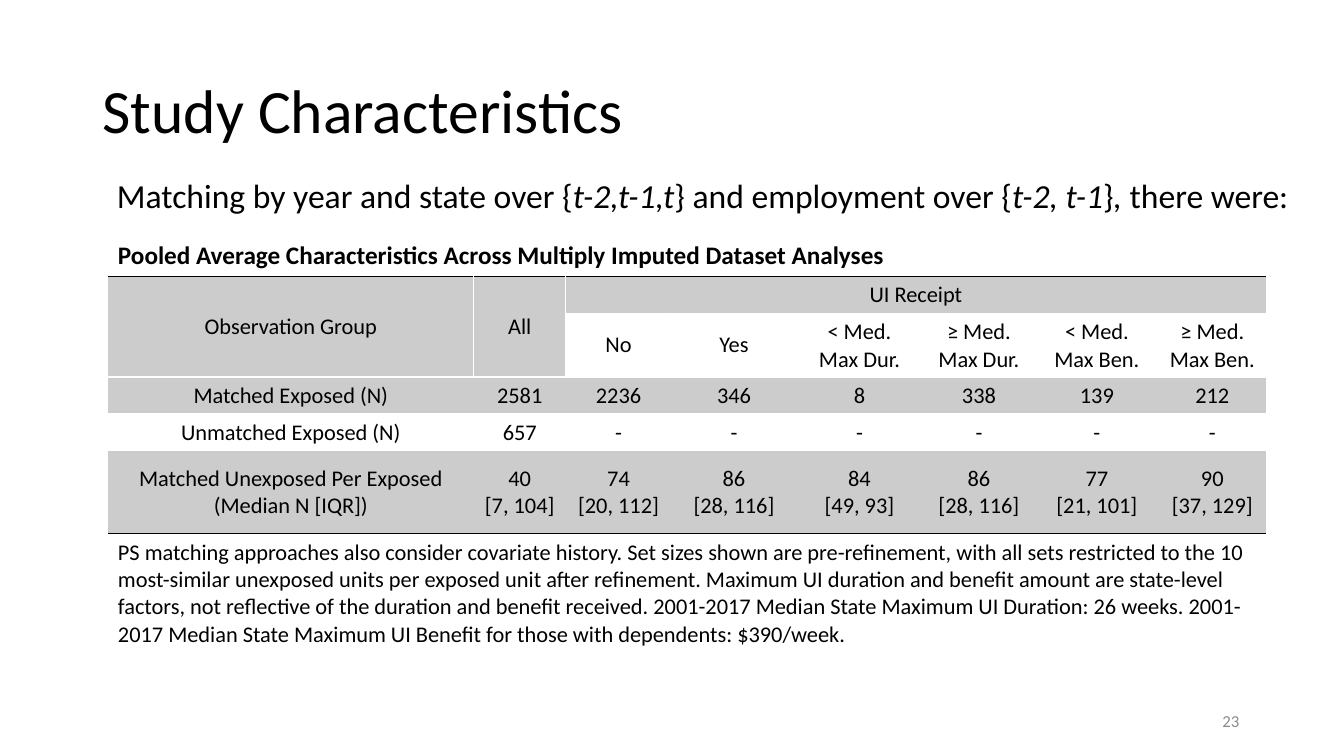
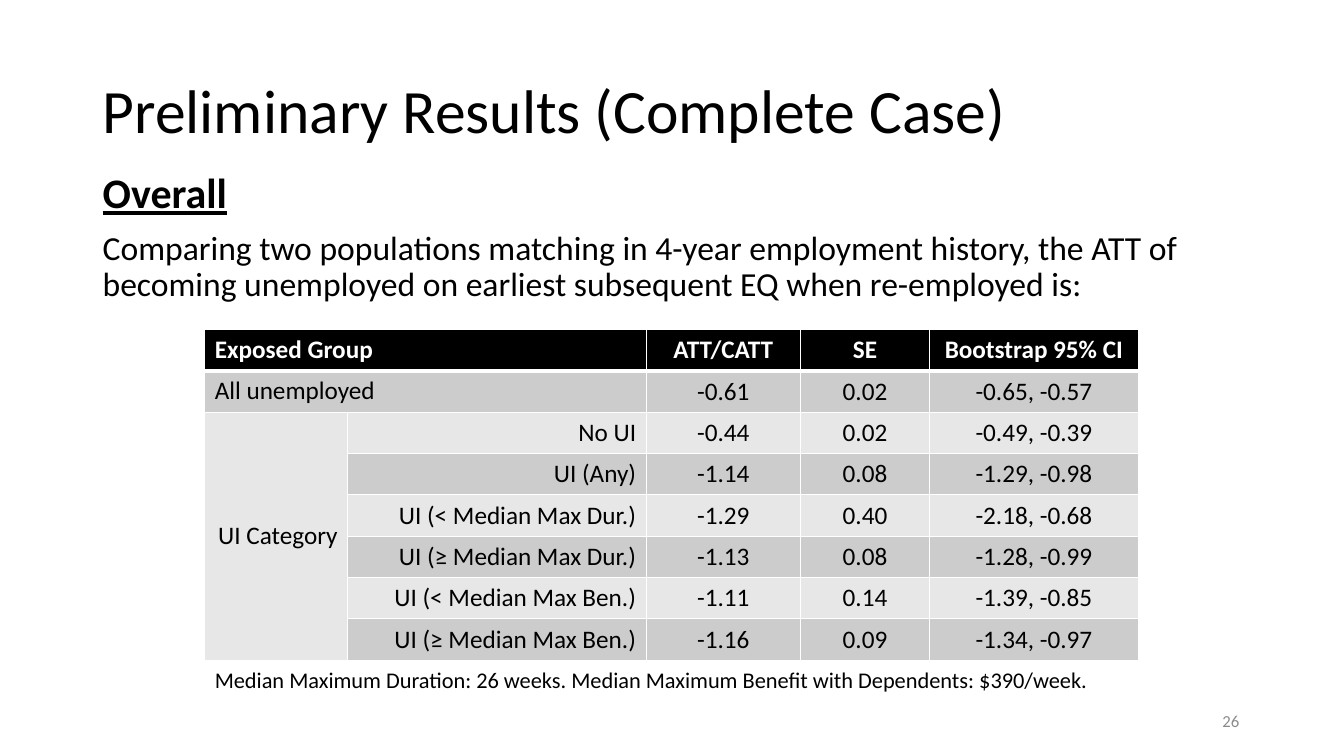
from lxml import etree
from pptx import Presentation
from pptx import util as u
from pptx.dml import color
from pptx.enum import text
from pptx.oxml import ns

COLORS = {"ink": "000000", "paper": "FFFFFF", "band": "CCCCCC",
          "light": "E7E7E7", "number": "8C8C8C"}
ALIGN = {"l": text.PP_ALIGN.LEFT, "c": text.PP_ALIGN.CENTER, "r": text.PP_ALIGN.RIGHT}
ANCHOR = {"top": text.MSO_ANCHOR.TOP, "middle": text.MSO_ANCHOR.MIDDLE}
PLAIN_TABLE = "{2D5ABB26-0587-4C30-8999-92F81FD0307C}"
SIDES = ("L", "R", "T", "B")


def rgb(name):
    return color.RGBColor.from_string(COLORS[name])


class Deck:
    """Holds the shared style and the slide being filled."""
    font = "Calibri"
    left, width = 0.92, 11.5

    def __init__(self):
        self.prs = Presentation()
        self.prs.slide_width = u.Inches(13.33)
        self.prs.slide_height = u.Inches(7.5)
        self.s = None

    def slide(self, title, number):
        self.s = self.prs.slides.add_slide(self.prs.slide_layouts[6])
        self.text((self.left, 0.4, self.width, 1.45), [[(title, {})]],
                  size=44, anchor="middle", line_spacing=0.9)
        self.text((9.42, 6.95, 2.97, 0.4), [[(str(number), {})]], size=12,
                  ink="number", anchor="middle", alignment=ALIGN["r"])

    def runs(self, p, runs, size, ink="ink"):
        """Add (text, font values) pairs to a paragraph."""
        for words, values in runs:
            r = p.add_run()
            r.text = words
            r.font.color.rgb = rgb(ink)
            for key, value in {"name": self.font, "size": u.Pt(size), **values}.items():
                setattr(r.font, key, value)

    def text(self, box, paragraphs, size, ink="ink", anchor="top", indent=0, **layout):
        sp = self.s.shapes.add_textbox(*map(u.Inches, box))
        tf = sp.text_frame
        tf.word_wrap = True
        tf.vertical_anchor = ANCHOR[anchor]
        tf.margin_left = u.Inches(0.1 + indent)
        for i, runs in enumerate(paragraphs):
            p = tf.paragraphs[0] if i == 0 else tf.add_paragraph()
            for key, value in layout.items():
                setattr(p, key, value)
            self.runs(p, runs, size, ink)

    def table(self, left, top, widths, heights, rows, merges, style):
        """Draw a table; style(row, column) gives the format of each cell."""
        frame = self.s.shapes.add_table(len(rows), len(widths), *map(
            u.Inches, (left, top, sum(widths), sum(heights))))
        next(frame.element.iter(ns.qn("a:tableStyleId"))).text = PLAIN_TABLE
        table = frame.table
        table.first_row = table.horz_banding = False
        for column, width in zip(table.columns, widths):
            column.width = u.Inches(width)
        for row, height in zip(table.rows, heights):
            row.height = u.Inches(height)
        for first, last in merges:
            table.cell(*first).merge(table.cell(*last))
        for i, row in enumerate(rows):
            for j in range(len(widths)):
                words = row[j] if j < len(row) else ""
                self.cell(table.cell(i, j), words, **style(i, j))

    def cell(self, cell, words, size, fill=None, ink="ink", bold=False,
             align="l", anchor="middle", borders=None):
        cell.vertical_anchor = ANCHOR[anchor]
        if fill:
            cell.fill.solid()
            cell.fill.fore_color.rgb = rgb(fill)
        else:
            cell.fill.background()
        self.borders(cell, borders or {})
        for i, line in enumerate(words.split("\n") if words else []):
            p = cell.text_frame.paragraphs[0] if i == 0 else cell.text_frame.add_paragraph()
            p.alignment = ALIGN[align]
            self.runs(p, [(line, {"bold": bold})], size, ink)

    def borders(self, cell, borders):
        """Set cell borders from {side: (colour, points)}."""
        props = next(cell.text_frame._element.getparent().iter(ns.qn("a:tcPr")))
        sides = [side for side in SIDES if side in borders]
        for position, side in enumerate(sides):
            name, points = borders[side]
            line = etree.Element(ns.qn("a:ln" + side), w=str(u.Pt(points)))
            solid = etree.SubElement(line, ns.qn("a:solidFill"))
            etree.SubElement(solid, ns.qn("a:srgbClr"), val=COLORS[name])
            props.insert(position, line)


def characteristics_style(i, j):
    rule, gap = ("ink", 1), ("paper", 1)
    if i == 0:
        return dict(size=18, bold=True, borders={"B": rule})
    if i == 6:
        return dict(size=16, anchor="top", borders={"T": rule})
    borders = {}
    if i == 1:
        borders = {"T": rule}
        if j > 1:
            borders["B"] = gap
    elif i == 2:
        borders = {"B": gap}
        if j > 1:
            borders["T"] = gap
    elif i == 3:
        borders = {"T": gap}
    elif i == 5:
        borders = {"B": rule}
    if i in (1, 2):
        if j < 2:
            borders["R"] = gap
        if j in (1, 2):
            borders["L"] = gap
    banded = i in (1, 3, 5) or (i == 2 and j < 2)
    return dict(size=16, align="c", fill="band" if banded else None, borders=borders)


def results_style(i, j):
    borders = {side: ("paper", 1) for side in SIDES}
    if i == 8:
        return dict(size=16, borders=borders)
    values = dict(size=18, borders=borders, align="c" if j > 1 else "l" if i < 2 else "r")
    if i == 0:
        borders["B"] = ("paper", 3)
        return dict(values, fill="ink", ink="paper", bold=True, anchor="top")
    if i == 1:
        borders["T"] = ("paper", 3)
        values["anchor"] = "middle" if j > 1 else "top"
    category = i > 1 and j == 0
    return dict(values, fill="band" if i % 2 and not category else "light")


def characteristics(deck):
    deck.slide("Study Characteristics", 23)
    italic = {"italic": True}
    deck.text((deck.left, 1.73, 12.07, 0.6), [[
        ("Matching by year and state over {", {}), ("t-2,t-1,t", italic),
        ("} and employment over {", {}), ("t-2, t-1", italic), ("}", {}),
        (",", italic), (" there were:", {})]],
        size=24, indent=0.14, line_spacing=0.9, space_before=u.Pt(6))
    rows = [
        ["Pooled Average Characteristics Across Multiply Imputed Dataset Analyses"],
        ["Observation Group", "All", "UI Receipt"],
        ["", "", "No", "Yes", "< Med. Max Dur.", "≥ Med. Max Dur.",
         "< Med. Max Ben.", "≥ Med. Max Ben."],
        ["Matched Exposed (N)", "2581", "2236", "346", "8", "338", "139", "212"],
        ["Unmatched Exposed (N)", "657"] + ["-"] * 6,
        ["Matched Unexposed Per Exposed\n(Median N [IQR])", "40\n[7, 104]",
         "74\n[20, 112]", "86\n[28, 116]", "84\n[49, 93]", "86\n[28, 116]",
         "77\n[21, 101]", "90\n[37, 129]"],
        ["PS matching approaches also consider covariate history. Set sizes shown are "
         "pre-refinement, with all sets restricted to the 10 most-similar unexposed units "
         "per exposed unit after refinement. Maximum UI duration and benefit amount are "
         "state-level factors, not reflective of the duration and benefit received. "
         "2001-2017 Median State Maximum UI Duration: 26 weeks. 2001-2017 Median State "
         "Maximum UI Benefit for those with dependents: $390/week."],
    ]
    merges = [((0, 0), (0, 7)), ((1, 0), (2, 0)), ((1, 1), (2, 1)),
              ((1, 2), (1, 7)), ((6, 0), (6, 7))]
    deck.table(1.07, 2.34, [3.63, 0.91, 1.05, 1.24, 1.25, 1.12, 1.22, 1.07],
               [0.36, 0.36, 0.56, 0.36, 0.36, 0.82, 0.82],
               rows, merges, characteristics_style)


def results(deck):
    deck.slide("Preliminary Results (Complete Case)", 26)
    deck.text((deck.left, 1.66, deck.width, 1.5), [
        [("Overall", {"size": u.Pt(30), "bold": True, "underline": True})],
        [("Comparing two populations matching in 4-year employment history, the ATT of "
          "becoming unemployed on earliest subsequent EQ when re-employed is:", {})]],
        size=24, line_spacing=0.9, space_before=u.Pt(10))
    rows = [
        ["Exposed Group", "", "ATT/CATT", "SE", "Bootstrap 95% CI"],
        ["All unemployed", "", "-0.61", "0.02", "-0.65, -0.57"],
        ["UI Category", "No UI", "-0.44", "0.02", "-0.49, -0.39"],
        ["", "UI (Any)", "-1.14", "0.08", "-1.29, -0.98"],
        ["", "UI (< Median Max Dur.)", "-1.29", "0.40", "-2.18, -0.68"],
        ["", "UI (≥ Median Max Dur.)", "-1.13", "0.08", "-1.28, -0.99"],
        ["", "UI (< Median Max Ben.)", "-1.11", "0.14", "-1.39, -0.85"],
        ["", "UI (≥ Median Max Ben.)", "-1.16", "0.09", "-1.34, -0.97"],
        ["Median Maximum Duration: 26 weeks. Median Maximum Benefit with Dependents: "
         "$390/week."],
    ]
    merges = [((0, 0), (0, 1)), ((1, 0), (1, 1)), ((2, 0), (7, 0)), ((8, 0), (8, 4))]
    deck.table(2.03, 3.27, [1.42, 2.96, 1.53, 1.28, 2.07], [0.41] * len(rows),
               rows, merges, results_style)


def main():
    deck = Deck()
    characteristics(deck)
    results(deck)
    deck.prs.save("out.pptx")


if __name__ == "__main__":
    main()
